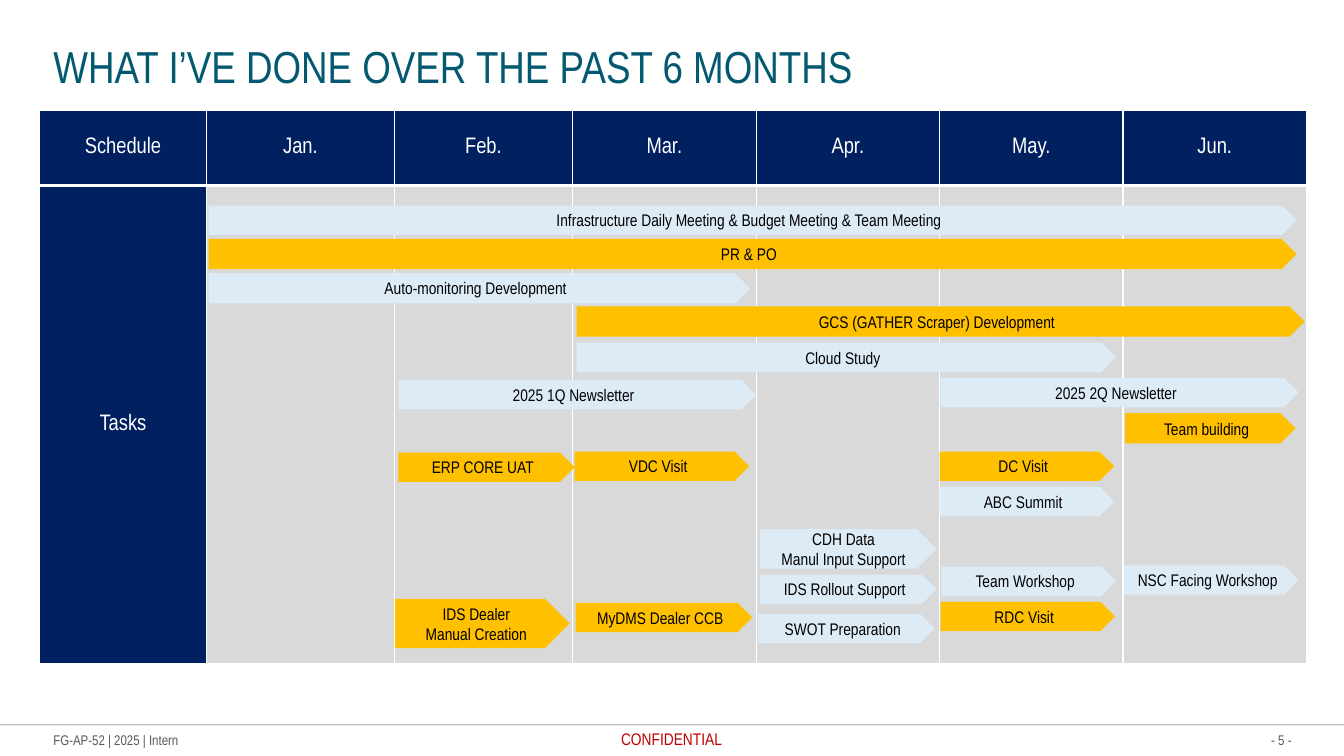
"""Build a six-month task schedule slide."""
from dataclasses import dataclass

from lxml.etree import SubElement
from pptx import Presentation
from pptx.dml.color import RGBColor
from pptx.enum.shapes import MSO_CONNECTOR as Line, MSO_SHAPE as Shape
from pptx.enum.text import MSO_ANCHOR as Anchor, MSO_AUTO_SIZE as Fit, PP_ALIGN as Align
from pptx.oxml.ns import qn
from pptx.util import Inches, Pt

FACE = "Arial Narrow"
NAVY, GREY, WHITE, BLACK = "002060", "D9D9D9", "FFFFFF", "000000"
BLUE, GOLD = "DDEBF7", "FFC000"
MONTHS = ["Jan.", "Feb.", "Mar.", "Apr.", "May.", "Jun."]
WIDTHS = [1.66, 1.86, 1.77] + [1.82] * 4
HEIGHTS = [0.74, 4.74]


@dataclass
class Bar:
    text: str
    left: float
    top: float
    width: float
    fill: str = BLUE
    height: float = 0.29


@dataclass
class Note:
    text: str
    left: float
    top: float
    width: float
    height: float
    size: int
    color: str
    align: Align = Align.LEFT
    anchor: Anchor = Anchor.MIDDLE
    wrap: bool = False


BARS = [
    Bar("Infrastructure Daily Meeting & Budget Meeting & Team Meeting", 2.07, 2.04, 10.79),
    Bar("Auto-monitoring Development", 2.07, 2.71, 5.37, height=0.3),
    Bar("Team Workshop", 9.34, 5.62, 1.73),
    Bar("PR & PO", 2.07, 2.37, 10.79, GOLD, 0.3),
    Bar("RDC Visit", 9.33, 5.97, 1.73, GOLD),
    Bar("NSC Facing Workshop", 11.15, 5.61, 1.73),
    Bar("2025 1Q Newsletter", 3.95, 3.77, 3.55),
    Bar("2025 2Q Newsletter", 9.33, 3.75, 3.55),
    Bar("GCS (GATHER Scraper) Development", 5.72, 3.04, 7.22, GOLD, 0.3),
    Bar("IDS Dealer\nManual Creation", 3.92, 5.94, 1.73, GOLD, 0.49),
    Bar("MyDMS Dealer CCB", 5.71, 5.98, 1.75, GOLD),
    Bar("IDS Rollout Support", 7.54, 5.7, 1.75),
    Bar("CDH Data\nManul Input Support", 7.54, 5.25, 1.75, height=0.39),
    Bar("SWOT Preparation", 7.52, 6.09, 1.75),
    Bar("Team building", 11.16, 4.1, 1.69, GOLD, 0.3),
    Bar("VDC Visit", 5.7, 4.48, 1.73, GOLD),
    Bar("Cloud Study", 5.72, 3.4, 5.35),
    Bar("ERP CORE UAT", 3.95, 4.49, 1.75, GOLD),
    Bar("DC Visit", 9.32, 4.48, 1.73, GOLD),
    Bar("ABC Summit", 9.32, 4.83, 1.73),
]

NOTES = [
    Note("- 5 -", 12.4, 7.26, 0.41, 0.17, 10, "595959", Align.RIGHT),
    Note("FG-AP-52 | 2025 | Intern", 0.53, 7.26, 1.37, 0.17, 10, "595959"),
    Note("CONFIDENTIAL", 6.16, 7.23, 1.04, 0.2, 12, "C00000", anchor=Anchor.TOP, wrap=True),
]


def rgb(code: str) -> RGBColor:
    """Turn a hex string into a colour."""
    return RGBColor.from_string(code)


def write(frame, text: str, size: int, color: str, align: Align) -> None:
    """Put one styled paragraph into a text frame."""
    para = frame.paragraphs[0]
    para.text = text
    para.alignment = align
    font = para.font
    font.name, font.size, font.bold = FACE, Pt(size), False
    font.color.rgb = rgb(color)


def strip(frame) -> None:
    """Remove the margins and the fitting of a text frame."""
    frame.margin_left = frame.margin_right = frame.margin_top = frame.margin_bottom = 0
    frame.auto_size = Fit.NONE


def add_title(slide, text: str) -> None:
    """Place and format the title."""
    title = slide.shapes.title
    title.left, title.top = Inches(0.53), Inches(0.38)
    title.width, title.height = Inches(12.28), Inches(0.54)
    frame = title.text_frame
    strip(frame)
    frame.word_wrap, frame.vertical_anchor = True, Anchor.TOP
    write(frame, text, 32, "035970", Align.LEFT)
    frame.paragraphs[0].space_after = Pt(6)


def add_note(slide, note: Note) -> None:
    """Draw one footer text."""
    box = slide.shapes.add_textbox(*map(Inches, (note.left, note.top, note.width, note.height)))
    frame = box.text_frame
    strip(frame)
    frame.word_wrap, frame.vertical_anchor = note.wrap, note.anchor
    write(frame, note.text, note.size, note.color, note.align)


def add_rule(slide) -> None:
    """Draw the faint line above the footer."""
    rule = slide.shapes.add_connector(Line.STRAIGHT, 0, Inches(7.19), Inches(13.33), Inches(7.19))
    rule.line.width = Pt(1)
    rule.line.color.rgb = rgb(BLACK)
    tint = next(rule.line._ln.iter(qn("a:srgbClr")))
    SubElement(tint, qn("a:alpha"), val="25000")
    SubElement(rule._element.spPr, qn("a:effectLst"))


def edge(cell, side: str, width: float) -> None:
    """Give one side of a cell a white border."""
    line = SubElement(cell._tc.get_or_add_tcPr(), qn(f"a:ln{side}"), w=str(Pt(width)))
    fill = SubElement(line, qn("a:solidFill"))
    SubElement(fill, qn("a:srgbClr"), val=WHITE)


def add_grid(slide) -> None:
    """Draw the schedule table."""
    size = (0.39, 1.1, sum(WIDTHS), sum(HEIGHTS))
    grid = slide.shapes.add_table(2, len(WIDTHS), *map(Inches, size)).table
    grid.first_row = grid.horz_banding = False
    for col, width in zip(grid.columns, WIDTHS):
        col.width = Inches(width)
    for row, height in zip(grid.rows, HEIGHTS):
        row.height = Inches(height)
    texts = [["Schedule", *MONTHS], ["Tasks"] + [""] * len(MONTHS)]
    for r, row in enumerate(texts):
        for c, text in enumerate(row):
            cell = grid.cell(r, c)
            for side in "LRTB":
                edge(cell, side, 3 if (r, side) == (0, "B") else 1)
            cell.fill.solid()
            cell.fill.fore_color.rgb = rgb(NAVY if text else GREY)
            cell.vertical_anchor = Anchor.MIDDLE
            if text:
                write(cell.text_frame, text, 16, WHITE, Align.CENTER)


def add_bar(slide, bar: Bar) -> None:
    """Draw one task arrow."""
    size = map(Inches, (bar.left, bar.top, bar.width, bar.height))
    shape = slide.shapes.add_shape(Shape.PENTAGON, *size)
    shape.shadow.inherit = False
    shape.fill.solid()
    shape.fill.fore_color.rgb = rgb(bar.fill)
    shape.line.fill.background()
    frame = shape.text_frame
    frame.word_wrap, frame.vertical_anchor = True, Anchor.MIDDLE
    write(frame, bar.text, 12, BLACK, Align.CENTER)


def main() -> None:
    """Build and save the slide."""
    deck = Presentation()
    deck.slide_width, deck.slide_height = Inches(13.33), Inches(7.5)
    slide = deck.slides.add_slide(deck.slide_layouts[5])
    add_rule(slide)
    for note in NOTES:
        add_note(slide, note)
    add_title(slide, "WHAT I’VE DONE OVER THE PAST 6 MONTHS")
    add_grid(slide)
    for bar in BARS:
        add_bar(slide, bar)
    deck.save("out.pptx")


if __name__ == "__main__":
    main()
